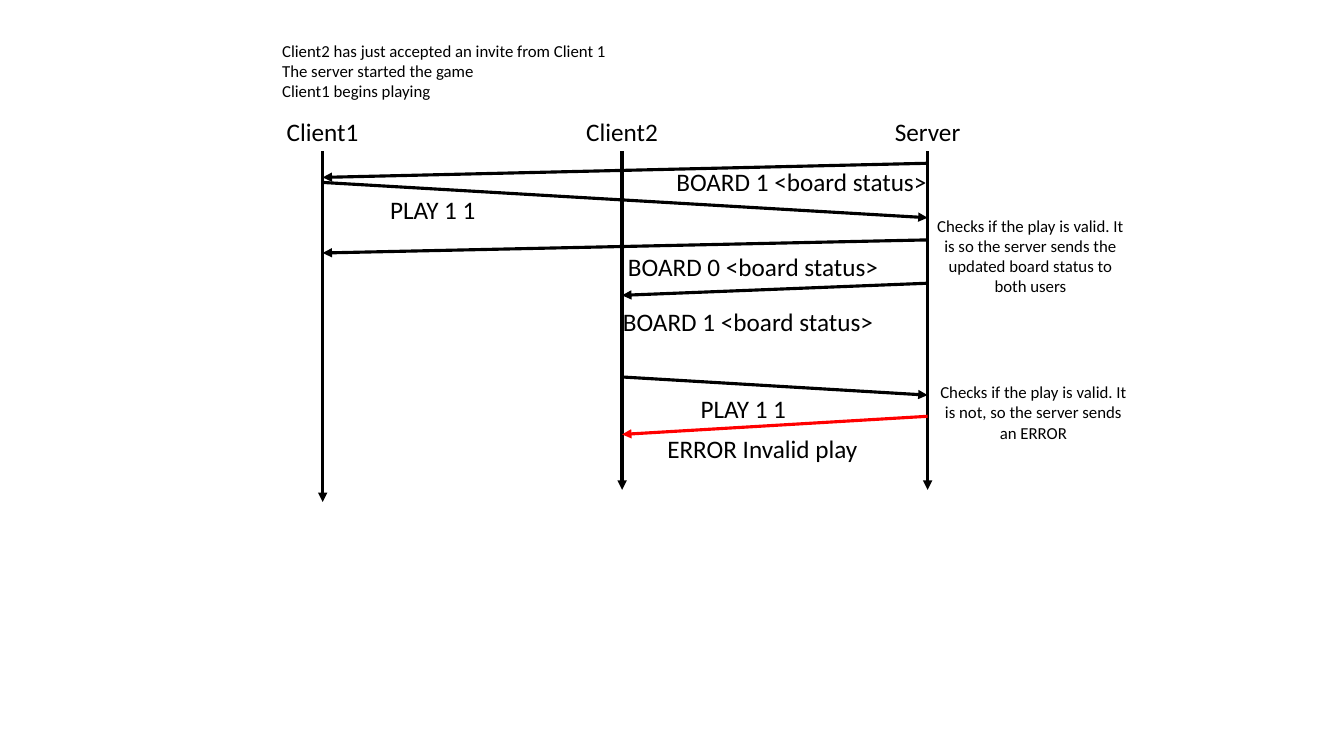
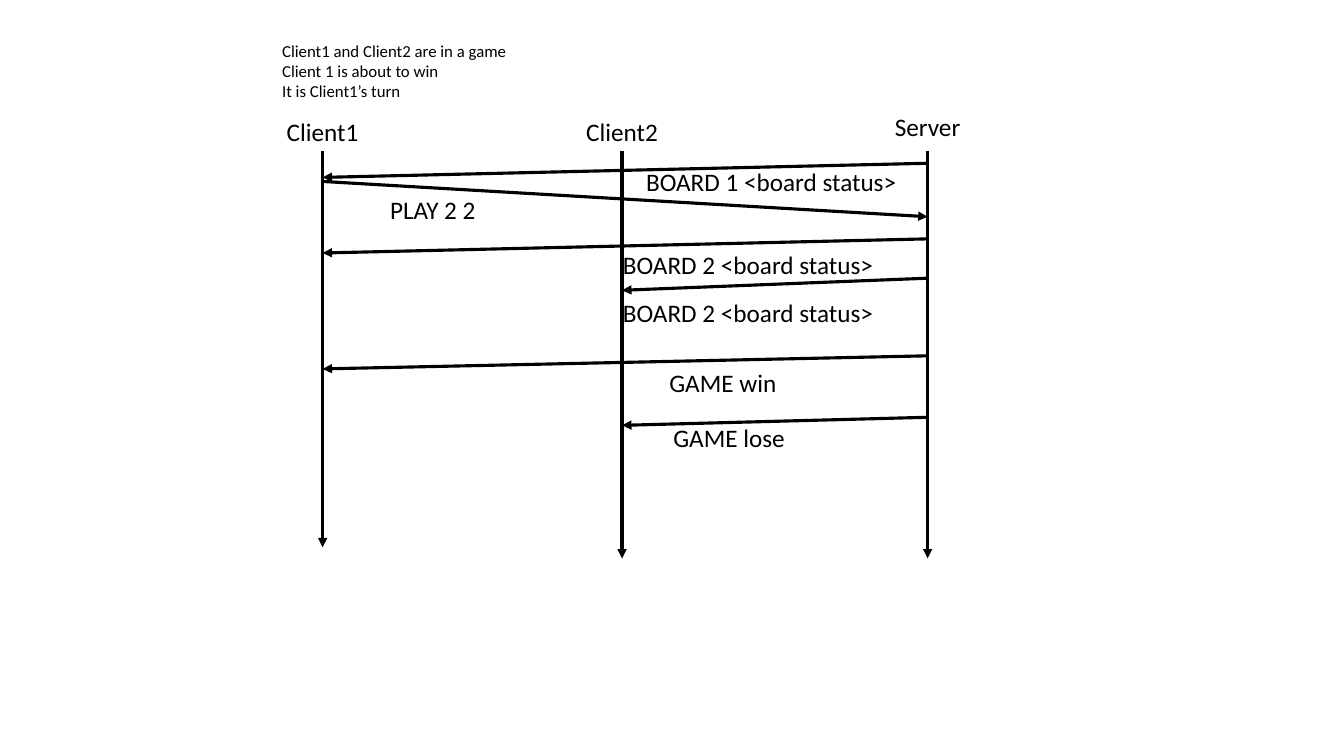
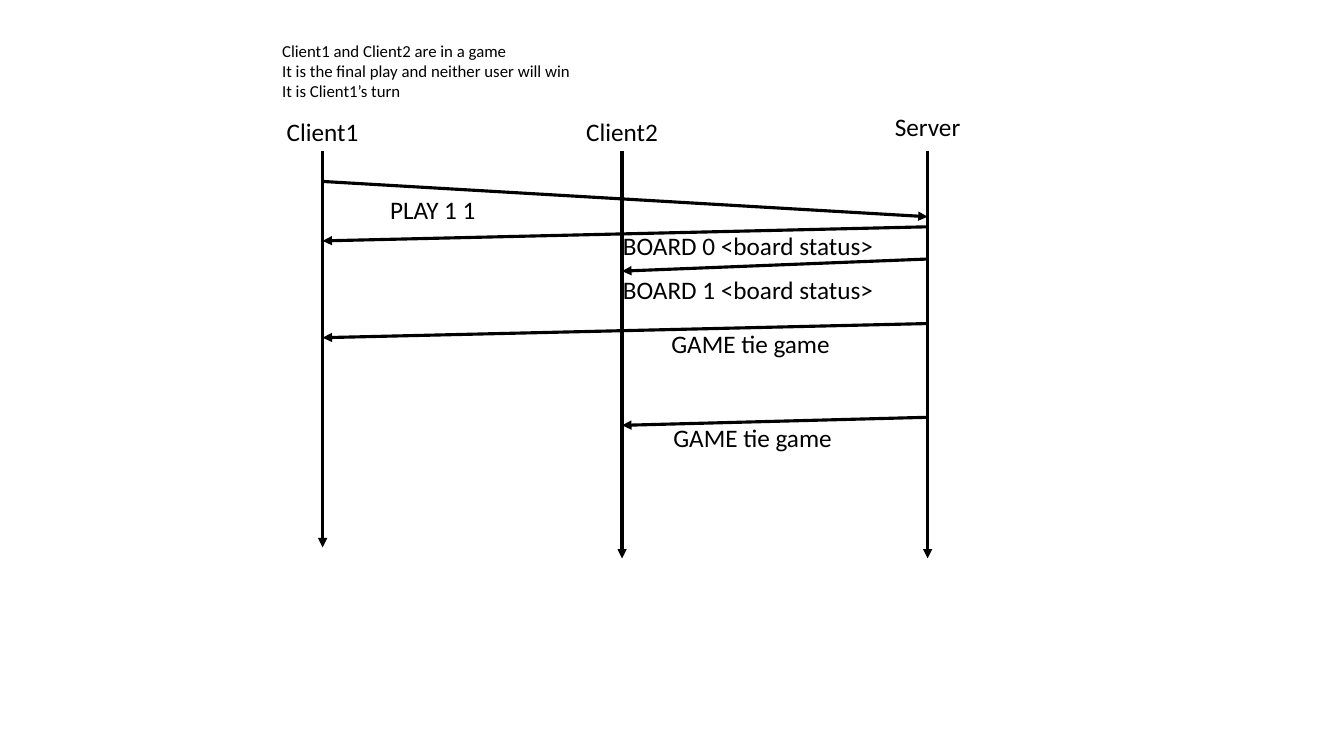
import dataclasses

import lxml.etree
import pptx
import pptx.dml.color
import pptx.enum.shapes
import pptx.enum.text
import pptx.oxml.ns
import pptx.util

Inches = pptx.util.Inches
LEFT = pptx.enum.text.PP_ALIGN.LEFT
CENTER = pptx.enum.text.PP_ALIGN.CENTER

COLORS = {"ink": "000000", "error": "FF0000"}
FONT = "Calibri"
LABEL_SIZE, NOTE_SIZE = 18, 12
LABEL_HEIGHT = 0.4
LANE_LABEL_WIDTH = 1.13
NOTE_WIDTH = 2.08
LANES = {"Client1": 0, "Client2": 2.97, "Server": 6}
MESSAGE_WIDTHS = {"BOARD": 3.33, "PLAY": 2.53, "ERROR": 2.77, "GAME": 2.53}
INTRO_BOX = (2.7, 0.35, 6.86, 0.71)
DIAGRAM_ORIGIN = (3.2, 1.5)


@dataclasses.dataclass
class Message:
    sender: str
    receiver: str
    start: float
    end: float
    text: str
    label_left: float
    label_top: float
    color: str = "ink"


@dataclasses.dataclass
class Scene:
    intro: list
    lane_lengths: tuple
    server_label_rise: float
    messages: list
    notes: list = dataclasses.field(default_factory=list)


SCENES = [
    Scene(
        ["Client2 has just accepted an invite from Client 1",
         "The server started the game",
         "Client1 begins playing"],
        (3.48, 3.36, 3.36), 0.4,
        [Message("Server", "Client1", 0.12, 0.26, "BOARD 1 <board status>", 3.41, 0.1),
         Message("Client1", "Server", 0.31, 0.66, "PLAY 1 1", 0.57, 0.38),
         Message("Server", "Client1", 0.88, 1.01, "BOARD 0 <board status>", 2.93, 0.94),
         Message("Server", "Client2", 1.31, 1.43, "BOARD 1 <board status>", 2.88, 1.49),
         Message("Client2", "Server", 2.24, 2.42, "PLAY 1 1", 3.65, 2.35),
         Message("Server", "Client2", 2.63, 2.81, "ERROR Invalid play", 3.32, 2.75, "error")],
        [("Checks if the play is valid. It is so the server sends the updated "
          "board status to both users", 5.98, 0.59, 0.91),
         ("Checks if the play is valid. It is not, so the server sends an ERROR",
          6.01, 2.24, 0.71)],
    ),
    Scene(
        ["Client1 and Client2 are in a game",
         "Client 1 is about to win",
         "It is Client1’s turn"],
        (3.93, 4.04, 4.04), 0.44,
        [Message("Server", "Client1", 0.12, 0.26, "BOARD 1 <board status>", 3.11, 0.1),
         Message("Client1", "Server", 0.3, 0.65, "PLAY 2 2", 0.57, 0.38),
         Message("Server", "Client1", 0.87, 1.01, "BOARD 2 <board status>", 2.88, 0.92),
         Message("Server", "Client2", 1.26, 1.38, "BOARD 2 <board status>", 2.88, 1.4),
         Message("Server", "Client1", 2.03, 2.16, "GAME win", 3.34, 2.09),
         Message("Server", "Client2", 2.64, 2.72, "GAME lose", 3.38, 2.64)],
    ),
    Scene(
        ["Client1 and Client2 are in a game",
         "It is the final play and neither user will win",
         "It is Client1’s turn"],
        (3.93, 4.04, 4.04), 0.44,
        [Message("Client1", "Server", 0.3, 0.65, "PLAY 1 1", 0.57, 0.38),
         Message("Server", "Client1", 0.75, 0.89, "BOARD 0 <board status>", 2.88, 0.74),
         Message("Server", "Client2", 1.07, 1.19, "BOARD 1 <board status>", 2.88, 1.17),
         Message("Server", "Client1", 1.71, 1.85, "GAME tie game", 3.36, 1.71),
         Message("Server", "Client2", 2.64, 2.72, "GAME tie game", 3.38, 2.64)],
    ),
]


def add_text(slide, lines, box, size, alignment=LEFT):
    shape = slide.shapes.add_textbox(*(Inches(length) for length in box))
    frame = shape.text_frame
    frame.word_wrap = True
    frame.auto_size = pptx.enum.text.MSO_AUTO_SIZE.SHAPE_TO_FIT_TEXT
    frame.text = "\n".join(lines)
    for paragraph in frame.paragraphs:
        paragraph.alignment = alignment
        paragraph.font.name = FONT
        paragraph.font.size = pptx.util.Pt(size)
        paragraph.font.color.rgb = pptx.dml.color.RGBColor.from_string(COLORS["ink"])


def add_arrow(slide, start, end, color="ink"):
    connector = slide.shapes.add_connector(
        pptx.enum.shapes.MSO_CONNECTOR.STRAIGHT,
        *(Inches(length) for length in (*start, *end)))
    connector.line.color.rgb = pptx.dml.color.RGBColor.from_string(COLORS[color])
    connector.line.width = pptx.util.Pt(2.25)
    qualified = pptx.oxml.ns.qn
    properties = connector.element.spPr
    lxml.etree.SubElement(
        properties.find(qualified("a:ln")), qualified("a:tailEnd"), type="triangle")
    lxml.etree.SubElement(properties, qualified("a:effectLst"))


def add_lifelines(slide, left, top, lengths, server_label_rise):
    for (name, offset), length in zip(LANES.items(), lengths):
        x = left + offset
        rise = server_label_rise if name == "Server" else LABEL_HEIGHT
        box = (x - LANE_LABEL_WIDTH / 2, top - rise, LANE_LABEL_WIDTH, LABEL_HEIGHT)
        add_text(slide, [name], box, LABEL_SIZE, CENTER)
        add_arrow(slide, (x, top), (x, top + length))


def add_messages(slide, left, top, messages):
    for message in messages:
        add_arrow(slide,
                  (left + LANES[message.sender], top + message.start),
                  (left + LANES[message.receiver], top + message.end),
                  message.color)
        width = MESSAGE_WIDTHS[message.text.split()[0]]
        box = (left + message.label_left, top + message.label_top, width, LABEL_HEIGHT)
        add_text(slide, [message.text], box, LABEL_SIZE)


def add_notes(slide, left, top, notes):
    for text, note_left, note_top, height in notes:
        box = (left + note_left, top + note_top, NOTE_WIDTH, height)
        add_text(slide, [text], box, NOTE_SIZE, CENTER)


def add_sequence_slide(presentation, scene):
    slide = presentation.slides.add_slide(presentation.slide_layouts.get_by_name("Blank"))
    add_text(slide, scene.intro, INTRO_BOX, NOTE_SIZE)
    add_lifelines(slide, *DIAGRAM_ORIGIN, scene.lane_lengths, scene.server_label_rise)
    add_messages(slide, *DIAGRAM_ORIGIN, scene.messages)
    add_notes(slide, *DIAGRAM_ORIGIN, scene.notes)


def main():
    presentation = pptx.Presentation()
    presentation.slide_width = Inches(13.33)
    presentation.slide_height = Inches(7.5)
    for scene in SCENES:
        add_sequence_slide(presentation, scene)
    presentation.save("out.pptx")


if __name__ == "__main__":
    main()
